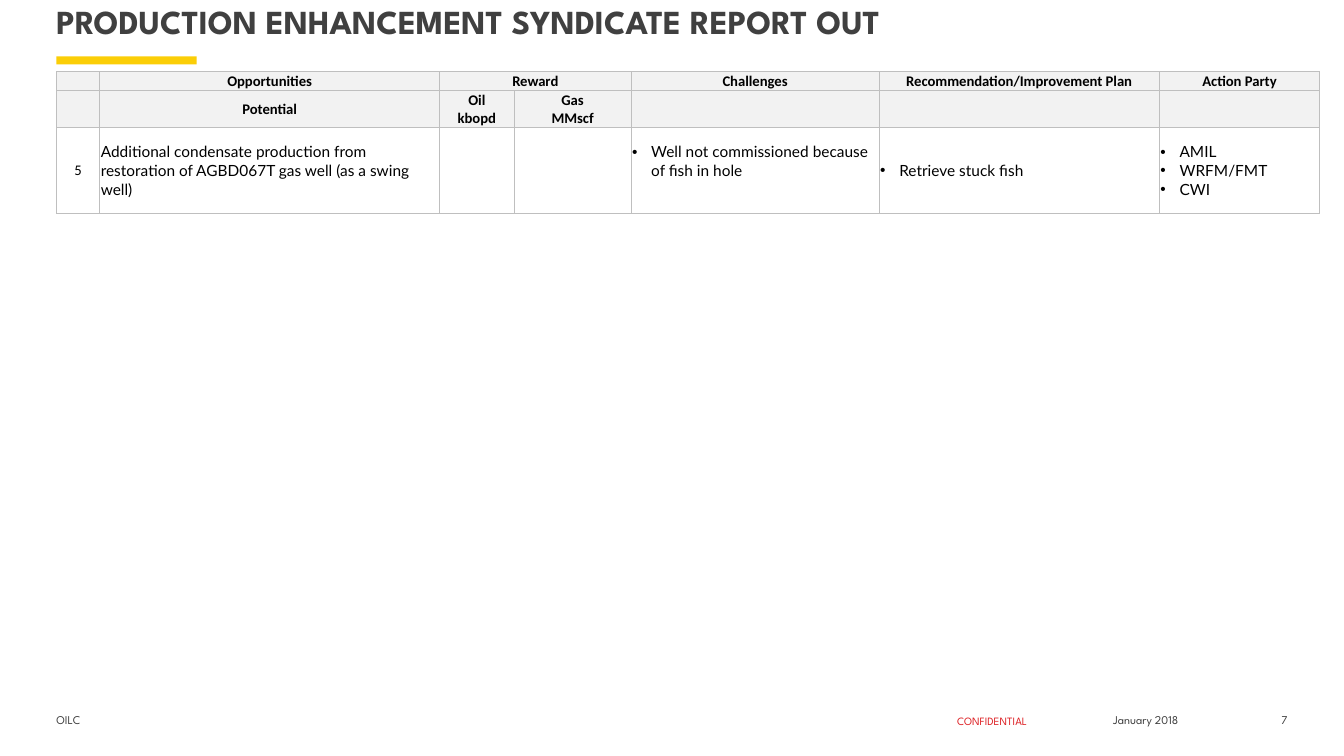
from lxml.etree import SubElement
from pptx import Presentation
from pptx.dml.color import RGBColor
from pptx.enum.shapes import MSO_SHAPE
from pptx.enum.text import MSO_ANCHOR as ANCHOR, MSO_AUTO_SIZE as AUTO, PP_ALIGN as AL
from pptx.oxml import parse_xml
from pptx.oxml.ns import nsdecls, qn
from pptx.util import Inches, Pt

# Content
TITLE = "PRODUCTION ENHANCEMENT SYNDICATE REPORT OUT"
HEADER = [
    ["", "Opportunities", "Reward", "", "Challenges",
     "Recommendation/Improvement Plan", "Action Party"],
    ["", "Potential", "Oil\nkbopd", "Gas\nMMscf", "", "", ""],
]
BODY = ["5",
        "Additional condensate production from restoration of AGBD067T gas well (as a swing well)",
        "", "",
        ["Well not commissioned because of fish in hole"],
        ["Retrieve stuck fish"],
        ["AMIL", "WRFM/FMT", "CWI"]]
COLS = [0.43, 3.37, 0.74, 1.16, 2.46, 2.78, 1.59]
ROWS = [0.19, 0.34, 0.85]
LEFT = 0.56


class Theme:
    yellow, grey, red = "FBCE07", "404040", "DD1D21"
    black, head_fill, border = "000000", "F2F2F2", "BFBFBF"
    title = dict(name="League Spartan", size=24, color=grey, bold=True)
    footer = dict(name="League Spartan", size=8.5, color=grey, bold=False)
    stamp = dict(footer, size=8, color=red)
    head = dict(name="Calibri", size=10.5, color=black, bold=True)
    number = dict(head, bold=False)
    body = dict(name="Lato", size=11, color=black, bold=False)


# text, left, top, width, height, alignment, format
FOOTERS = [
    ("OILC", LEFT, 7.07, 3.67, 0.26, AL.LEFT, Theme.footer),
    ("CONFIDENTIAL", 9.25, 7.09, 1.18, 0.19, AL.CENTER, Theme.stamp),
    ("January 2018", 10.58, 7.07, 1.57, 0.26, AL.CENTER, Theme.footer),
    ("7", 12.38, 7.07, 0.39, 0.26, AL.RIGHT, Theme.footer),
]


def set_font(font, fmt):
    values = dict(fmt, size=Pt(fmt["size"]))
    font.color.rgb = RGBColor.from_string(values.pop("color"))
    for key, value in values.items():
        setattr(font, key, value)


def write(p, text, fmt, align=AL.LEFT):
    p.text = text
    p.alignment = align
    for r in p.runs:
        set_font(r.font, fmt)
    if not text:
        SubElement(p._p, qn("a:endParaRPr"), sz=str(int(fmt["size"] * 100)))


def set_frame(tf, bottom=0):
    values = dict(margin_left=0, margin_right=0, margin_top=0,
                  margin_bottom=Inches(bottom), word_wrap=True,
                  auto_size=AUTO.NONE, vertical_anchor=ANCHOR.TOP)
    for key, value in values.items():
        setattr(tf, key, value)


def add_bullet(p):
    pPr = p._p.get_or_add_pPr()
    pPr.set("marL", str(Inches(0.19)))
    pPr.set("indent", str(-Inches(0.19)))
    SubElement(pPr, qn("a:buFont"), typeface="Arial")
    SubElement(pPr, qn("a:buChar"), char="•")


def add_borders(cell):
    tcPr = cell._tc.get_or_add_tcPr()
    for i, side in enumerate(("lnL", "lnR", "lnT", "lnB")):
        tcPr.insert(i, parse_xml(
            f'<a:{side} {nsdecls("a")} w="{Pt(0.5)}"><a:solidFill>'
            f'<a:srgbClr val="{Theme.border}"/></a:solidFill></a:{side}>'))


def fill_cell(cell, content, fmt, align, fill=None):
    for side in ("left", "right", "top"):
        setattr(cell, f"margin_{side}", Inches(0.01))
    cell.margin_bottom = 0
    cell.vertical_anchor = ANCHOR.MIDDLE
    if fill:
        cell.fill.solid()
        cell.fill.fore_color.rgb = RGBColor.from_string(fill)
    else:
        cell.fill.background()
    add_borders(cell)
    tf = cell.text_frame
    bulleted = isinstance(content, list)
    for i, text in enumerate(content if bulleted else [content]):
        p = tf.add_paragraph() if i else tf.paragraphs[0]
        if bulleted:
            add_bullet(p)
        write(p, text, fmt, align)


def main():
    prs = Presentation()
    prs.slide_width, prs.slide_height = Inches(13.33), Inches(7.5)
    s = prs.slides.add_slide(prs.slide_layouts[5])

    # Title and accent bar
    title = s.shapes.title
    title.left, title.top, title.width, title.height = map(Inches, (LEFT, 0.01, 12.22, 0.82))
    set_frame(title.text_frame)
    write(title.text_frame.paragraphs[0], TITLE, Theme.title)
    bar = s.shapes.add_shape(MSO_SHAPE.RECTANGLE, *map(Inches, (LEFT, 0.56, 1.39, 0.08)))
    bar.shadow.inherit = False
    bar.fill.solid()
    bar.fill.fore_color.rgb = RGBColor.from_string(Theme.yellow)
    bar.line.fill.background()

    # Opportunity table
    table = s.shapes.add_table(len(ROWS), len(COLS), *map(
        Inches, (LEFT, 0.71, sum(COLS), sum(ROWS)))).table
    for col, width in zip(table.columns, COLS):
        col.width = Inches(width)
    for row, height in zip(table.rows, ROWS):
        row.height = Inches(height)
    for i, texts in enumerate(HEADER):
        for j, text in enumerate(texts):
            fill_cell(table.cell(i, j), text, Theme.head, AL.CENTER, Theme.head_fill)
    for j, content in enumerate(BODY):
        fmt, align = (Theme.body, AL.LEFT) if j else (Theme.number, AL.CENTER)
        fill_cell(table.cell(2, j), content, fmt, align)
    table.cell(0, 2).merge(table.cell(0, 3))
    table.cell(2, 4).margin_bottom = Inches(0.19)  # challenges sit one line higher

    # Footer
    for text, x, y, w, h, align, fmt in FOOTERS:
        tf = s.shapes.add_textbox(*map(Inches, (x, y, w, h))).text_frame
        set_frame(tf, bottom=0.05)
        write(tf.paragraphs[0], text, fmt, align)

    prs.save("out.pptx")


if __name__ == "__main__":
    main()
